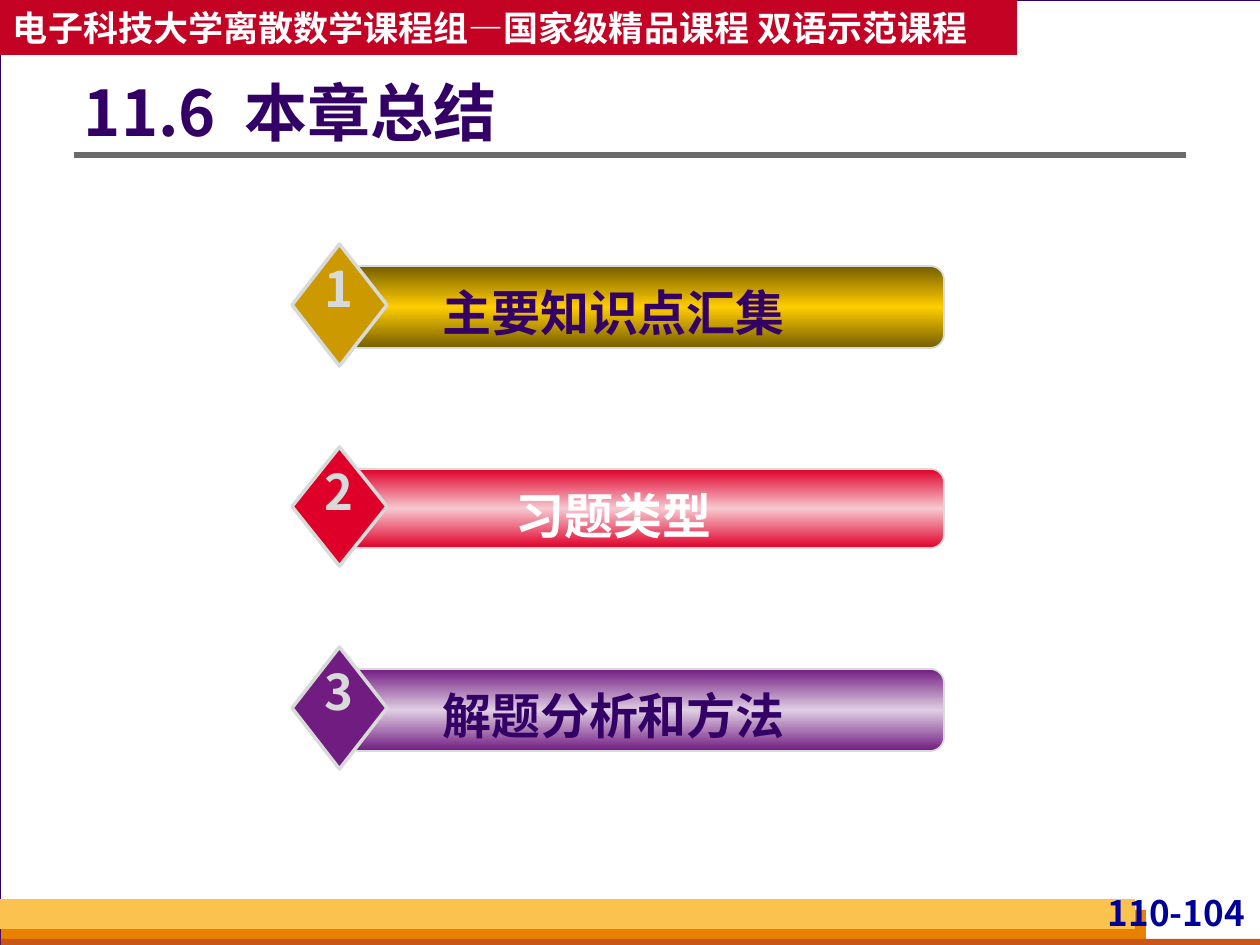
from copy import deepcopy
from dataclasses import dataclass

from lxml.etree import SubElement
from pptx import Presentation
from pptx.dml.color import RGBColor
from pptx.enum.shapes import MSO_CONNECTOR, MSO_SHAPE
from pptx.enum.text import MSO_ANCHOR, MSO_AUTO_SIZE, PP_ALIGN
from pptx.oxml.ns import qn
from pptx.util import Emu, Pt


@dataclass(frozen=True)
class Theme:
    font: str = "Noto Sans CJK SC"
    title_size: int = 36
    item_size: int = 28
    small_size: int = 20
    white: str = "FFFFFF"
    ink: str = "330066"
    pale: str = "D8DADA"
    rule: str = "6B6B6B"
    page: str = "000099"
    banner: str = "C30224"
    sand: str = "FCC24F"
    orange: str = "E88000"
    rust: str = "C95616"
    gold: tuple = ("CC9900", "755E00", "FFCC00")
    red: tuple = ("DF0029", "DF0029", "F7C8D0")
    purple: tuple = ("711C81", "711C81", "E0CEE3")


def px(n):
    return Emu(round(n * 914400 / 126))


def rgb(color):
    return RGBColor.from_string(color)


def write(shape, text, *, size, color, font, align=PP_ALIGN.LEFT, anchor=MSO_ANCHOR.MIDDLE,
          insets=(0, 0, 0, 0), fit=MSO_AUTO_SIZE.NONE, spacing=None, gap=0):
    tf = shape.text_frame
    tf.word_wrap = True
    tf.auto_size = fit
    tf.vertical_anchor = anchor
    tf.margin_left, tf.margin_top, tf.margin_right, tf.margin_bottom = map(px, insets)
    p = tf.paragraphs[0]
    p.alignment = align
    if spacing:
        p.line_spacing = spacing
    for part in text.partition(" ") if gap else [text]:
        r = p.add_run()
        r.text = part
        r.font.name = font
        r.font.size = Pt(size)
        r.font.bold = True
        r.font.color.rgb = rgb(color)
        rPr = r.font._element
        SubElement(rPr, qn("a:ea")).set("typeface", font)
        if part == " ":
            rPr.set("spc", str(gap * 100))


class Deck:
    """Draws styled elements on the current slide."""

    def __init__(self, theme):
        self.t = theme
        self.prs = Presentation()
        self.prs.slide_width, self.prs.slide_height = px(1260), px(945)
        self.s = self.prs.slides.add_slide(self.prs.slide_layouts[5])
        fill = self.s.background.fill
        fill.solid()
        fill.fore_color.rgb = rgb(theme.pale)

    def shape(self, kind, box, fill, line=None, width=1, parent=None):
        sp = (parent or self.s).shapes.add_shape(kind, *map(px, box))
        sp.shadow.inherit = False
        if isinstance(fill, tuple):
            self.gradient(sp, *fill)
        else:
            sp.fill.solid()
            sp.fill.fore_color.rgb = rgb(fill)
        if line:
            sp.line.color.rgb = rgb(line)
            sp.line.width = Pt(width)
        else:
            sp.line.fill.background()
        return sp

    def gradient(self, sp, edge, middle):
        sp.fill.gradient()
        sp.fill.gradient_angle = 90
        first = sp.fill.gradient_stops[0]._gs
        first.addnext(deepcopy(first))
        for stop, place, color in zip(sp.fill.gradient_stops, (0, 0.5, 1), (edge, middle, edge)):
            stop.position = place
            stop.color.rgb = rgb(color)

    def text(self, box, text, size, color, parent=None, **kw):
        sp = (parent or self.s).shapes.add_textbox(*map(px, box))
        write(sp, text, size=size, color=color, font=self.t.font,
              fit=MSO_AUTO_SIZE.SHAPE_TO_FIT_TEXT, **kw)

    def line(self, x1, y1, x2, y2, color, width):
        c = self.s.shapes.add_connector(MSO_CONNECTOR.STRAIGHT, *map(px, (x1, y1, x2, y2)))
        c.line.color.rgb = rgb(color)
        c.line.width = Pt(width)
        SubElement(c._element.spPr, qn("a:effectLst"))

    def frame(self, banner, page):
        t = self.t
        rect = MSO_SHAPE.RECTANGLE
        self.shape(rect, (0, 0, 1261, 945), t.white, t.ink, 0.75)
        self.shape(rect, (1, 910, 1145, 35), t.orange)
        self.shape(rect, (1, 939, 1260, 10), t.rust)
        self.shape(rect, (0, 899, 1135, 30), t.sand)
        self.text((1096, 892, 154, 48), page, t.small_size, t.page,
                  align=PP_ALIGN.RIGHT, anchor=MSO_ANCHOR.TOP, insets=(5, 0, 5, 0))
        self.line(74, 155, 1186, 155, t.rule, 3)
        sp = self.shape(rect, (0, 0, 1017, 55), t.banner)
        write(sp, banner, size=t.small_size, color=t.white, font=t.font, insets=(13, 6, 13, 6))

    def title(self, text):
        sp = self.s.shapes.title
        sp.left, sp.top, sp.width, sp.height = map(px, (84, 67, 1094, 98))
        self.s.shapes._spTree.append(sp._element)
        write(sp, text, size=self.t.title_size, color=self.t.ink, font=self.t.font,
              insets=(0, 6, 13, 6), spacing=0.9, gap=8)

    def item(self, number, text, top, height, palette, color):
        t = self.t
        solid, edge, middle = palette
        group = self.s.shapes.add_group_shape()
        self.shape(MSO_SHAPE.ROUNDED_RECTANGLE, (345, top, 599, height), (edge, middle),
                   t.pale, 1, group)
        self.shape(MSO_SHAPE.DIAMOND, (292, top - 22, 95, height + 40), solid, t.pale, 2, group)
        self.text((377, top + 16, 473, 59), text, t.item_size, color, group,
                  align=PP_ALIGN.CENTER)
        self.text((314, top - 8, 50, 59), str(number), t.item_size, t.pale, group,
                  align=PP_ALIGN.CENTER)


def main():
    t = Theme()
    deck = Deck(t)
    deck.frame("电子科技大学离散数学课程组—国家级精品课程 双语示范课程", "110-104")
    deck.title("11.6 本章总结")
    items = [
        ("主要知识点汇集", 266, 82, t.gold, t.ink),
        ("习题类型", 469, 79, t.red, t.white),
        ("解题分析和方法", 669, 82, t.purple, t.ink),
    ]
    for number, item in enumerate(items, 1):
        deck.item(number, *item)
    deck.prs.save("out.pptx")


if __name__ == "__main__":
    main()
